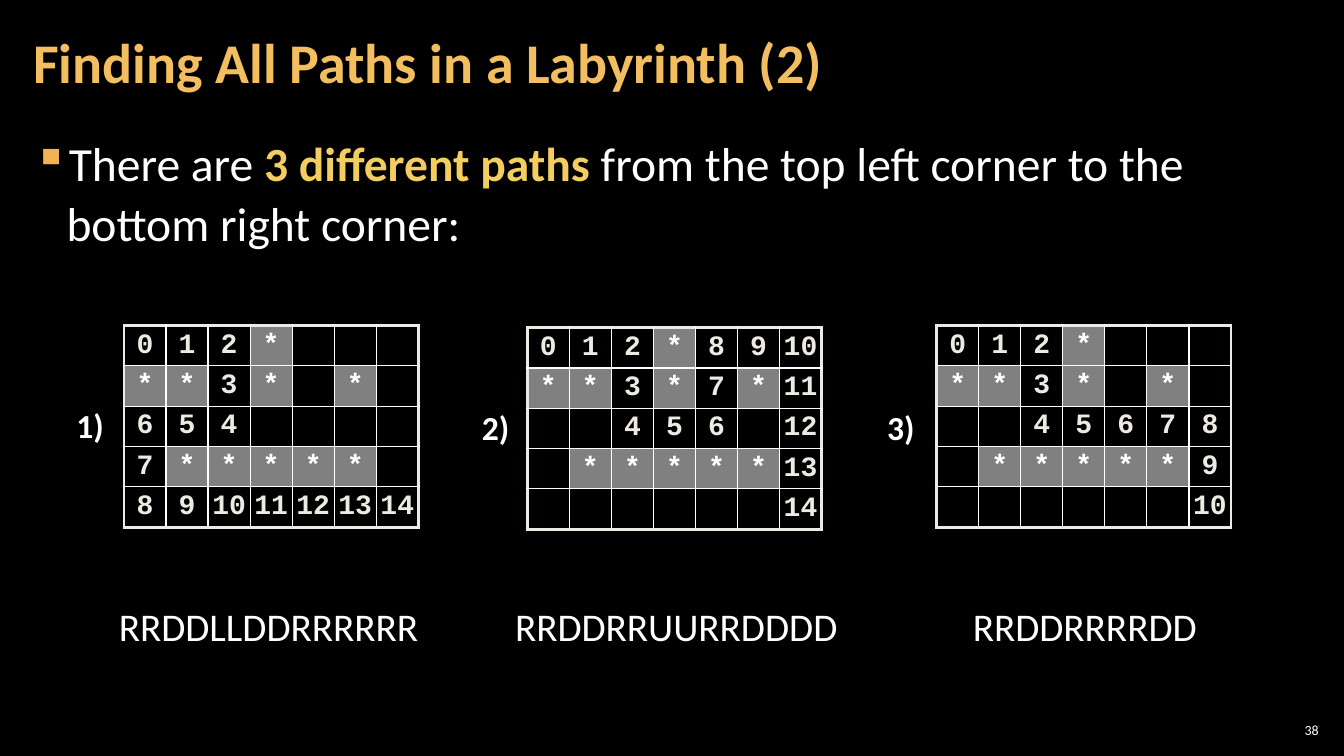
from lxml import etree
from pptx import Presentation
from pptx.dml.color import RGBColor
from pptx.enum.text import MSO_ANCHOR, PP_ALIGN
from pptx.oxml.ns import qn
from pptx.util import Inches, Pt

MIDDLE, TOP = MSO_ANCHOR.MIDDLE, MSO_ANCHOR.TOP
LEFT, CENTER, RIGHT = PP_ALIGN.LEFT, PP_ALIGN.CENTER, PP_ALIGN.RIGHT

COLORS = {
    "background": "000000",
    "text": "FFFFFF",
    "title": "F3BE60",
    "bullet": "F2B254",
    "highlight": "F3CD60",
    "step": "ECEAE3",
    "wall": "808080",
}

# "*" is a wall, "." an empty cell, a number is a step of the path
LABYRINTHS = [
    {"label": "1)", "label_at": (0.66, 3.97), "grid_at": (1.23, 3.23),
     "moves": "RRDDLLDDRRRRRR", "moves_at": (1.08, 3.21),
     "rows": ["0 1 2 * . . .",
              "* * 3 * . * .",
              "6 5 4 . . . .",
              "7 * * * * * .",
              "8 9 10 11 12 13 14"]},
    {"label": "2)", "label_at": (4.68, 3.99), "grid_at": (5.23, 3.25),
     "moves": "RRDDRRUURRDDDD", "moves_at": (5.01, 3.44),
     "rows": ["0 1 2 * 8 9 10",
              "* * 3 * 7 * 11",
              ". . 4 5 6 . 12",
              ". * * * * * 13",
              ". . . . . . 14"]},
    {"label": "3)", "label_at": (8.7, 3.99), "grid_at": (9.29, 3.23),
     "moves": "RRDDRRRRDD", "moves_at": (9.55, 2.45),
     "rows": ["0 1 2 * . . .",
              "* * 3 * . * .",
              ". . 4 5 6 7 8",
              ". * * * * * 9",
              ". . . . . . 10"]},
]
N_ROWS, N_COLS = 5, 7
GRID_WIDTH, GRID_HEIGHT = 2.92, 2

prs = Presentation()
prs.slide_width, prs.slide_height = Inches(13.33), Inches(7.5)
s = prs.slides.add_slide(prs.slide_layouts[6])
s.background.fill.solid()
s.background.fill.fore_color.rgb = RGBColor.from_string(COLORS["background"])


def add_run(p, text, size, color, bold=False, font="Calibri"):
    r = p.add_run()
    r.text = text
    r.font.name, r.font.size, r.font.bold = font, Pt(size), bold
    r.font.color.rgb = RGBColor.from_string(COLORS[color])


def add_text(box, runs, size, anchor=TOP, align=LEFT, margins=(0.1, 0.05), wrap=True):
    """Add a one-paragraph text box; runs are (text, color, bold)."""
    tf = s.shapes.add_textbox(*map(Inches, box)).text_frame
    tf.word_wrap, tf.vertical_anchor = wrap, anchor
    tf.margin_left = tf.margin_right = Inches(margins[0])
    tf.margin_top = tf.margin_bottom = Inches(margins[1])
    p = tf.paragraphs[0]
    p.alignment = align
    for text, color, bold in runs:
        add_run(p, text, size, color, bold)
    return p


# Page number, body and title
add_text((12.65, 7.14, 0.47, 0.21), [("38", "text", False)], 10, MIDDLE, RIGHT, (0.04, 0.04))

p = add_text((0.21, 1.26, 12.91, 6.09),
             [("There are ", "text", False),
              ("3 different paths", "highlight", True),
              (" from the top left corner to the bottom right corner:", "text", False)],
             34, margins=(0.12, 0.04))
p.line_spacing, p.space_before, p.space_after = 1.05, Pt(6), Pt(6)
pPr = p._p.get_or_add_pPr()
pPr.set("marL", str(Inches(0.33)))
pPr.set("indent", str(Inches(-0.33)))
bullet_color = etree.SubElement(pPr, qn("a:buClr"))
etree.SubElement(bullet_color, qn("a:srgbClr"), val=COLORS["bullet"])
etree.SubElement(pPr, qn("a:buChar"), char="▪")

p = add_text((0.21, 0.04, 10.47, 1.21), [("Finding All Paths in a Labyrinth (2)", "title", True)],
             40, MIDDLE, margins=(0.12, 0.04))
p.line_spacing = 0.9

# Labyrinths with their labels and moves
for labyrinth in LABYRINTHS:
    box = (*labyrinth["grid_at"], GRID_WIDTH, GRID_HEIGHT)
    table = s.shapes.add_table(N_ROWS, N_COLS, *map(Inches, box)).table
    table.first_row = table.horz_banding = False
    for column in table.columns:
        column.width = Inches(GRID_WIDTH / N_COLS)
    for row in table.rows:
        row.height = Inches(GRID_HEIGHT / N_ROWS)

    for i, row in enumerate(labyrinth["rows"]):
        for j, mark in enumerate(row.split()):
            cell = table.cell(i, j)
            cell.vertical_anchor = MIDDLE
            cell.margin_left = cell.margin_right = Inches(0.04)
            cell.margin_top = cell.margin_bottom = 0
            wall = mark == "*"
            if wall:
                cell.fill.solid()
                cell.fill.fore_color.rgb = RGBColor.from_string(COLORS["wall"])
            else:
                cell.fill.background()
            if mark != ".":
                p = cell.text_frame.paragraphs[0]
                p.alignment, p.space_before = CENTER, Pt(6)
                add_run(p, mark, 20, "text" if wall else "step", True, "Courier New")

            outer_edges = {"a:lnL": j == 0, "a:lnR": j == N_COLS - 1,
                           "a:lnT": i == 0, "a:lnB": i == N_ROWS - 1}
            tcPr = cell._tc.get_or_add_tcPr()
            for k, (tag, outer) in enumerate(outer_edges.items()):
                ln = etree.Element(qn(tag), w=str(Pt(2.25 if outer else 1)))
                fill = etree.SubElement(ln, qn("a:solidFill"))
                etree.SubElement(fill, qn("a:srgbClr"), val=COLORS["step" if outer else "text"])
                tcPr.insert(k, ln)

    add_text((*labyrinth["label_at"], 0.48, 0.52), [(labyrinth["label"], "text", True)],
             24, wrap=False)
    moves_left, moves_width = labyrinth["moves_at"]
    add_text((moves_left, 5.93, moves_width, 0.57), [(labyrinth["moves"], "text", False)],
             28, wrap=False)

prs.save("out.pptx")
